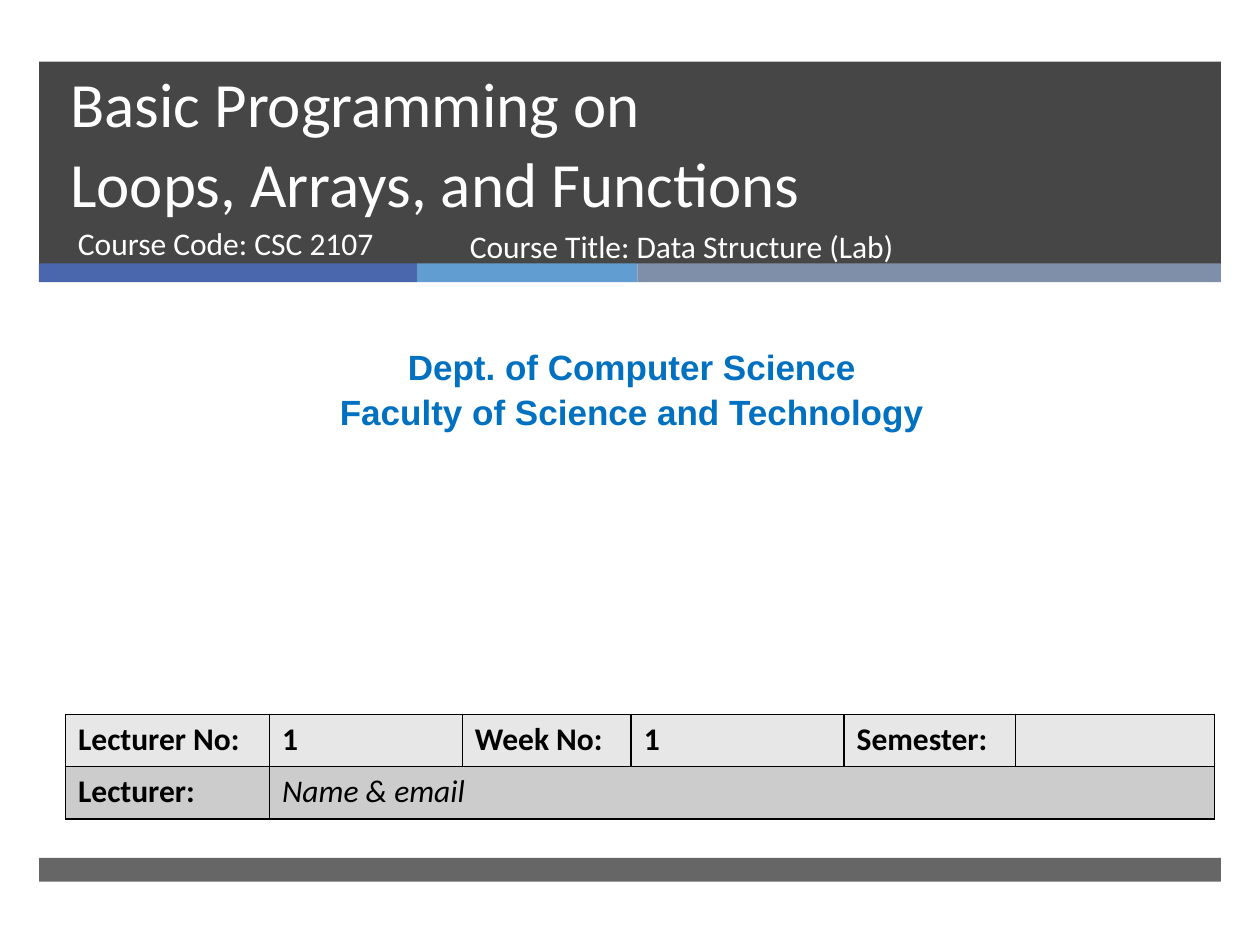
from itertools import accumulate
from lxml.etree import SubElement
from pptx import Presentation
from pptx.dml.color import RGBColor
from pptx.enum.shapes import MSO_SHAPE as Shape
from pptx.enum.text import MSO_ANCHOR as Anchor, PP_ALIGN as Align
from pptx.oxml import parse_xml
from pptx.oxml.ns import nsdecls, qn
from pptx.util import Inches, Pt

COLORS = {
    "band": "262626", "blue": "4A66AC", "sky": "629DD1", "slate": "7F8FA9",
    "white": "FFFFFF", "black": "000000", "dept": "0070C0",
    "light_row": "E7E7E7", "dark_row": "CCCCCC",
}
WIDTH, HEIGHT = Inches(10), Inches(7.5)
MARGIN, BAND_WIDTH = 3.1, 93.8


def color(name):
    return RGBColor.from_string(COLORS[name])


def across(percent):
    return round(WIDTH * percent / 100)


def down(percent):
    return round(HEIGHT * percent / 100)


def area(left, top, width, height):
    return across(left), down(top), across(width), down(height)


def apply(target, values):
    for key, value in values.items():
        setattr(target, key, value)


def style_run(run, ink, **font):
    apply(run.font, {"name": "Calibri", "size": Pt(18), **font})
    run.font.color.rgb = color(ink)


def add_band(slide, place, fill, opacity=100):
    band = slide.shapes.add_shape(Shape.RECTANGLE, *area(*place))
    band.shadow.inherit = False
    band.line.fill.background()
    band.fill.solid()
    band.fill.fore_color.rgb = color(fill)
    if opacity < 100:
        tint = band.fill._xPr.find(".//" + qn("a:srgbClr"))
        SubElement(tint, qn("a:alpha"), val=str(opacity * 1000))


def add_text(slide, place, lines, ink="white", anchor=Anchor.TOP, layout=None, **font):
    frame = slide.shapes.add_textbox(*area(*place)).text_frame
    apply(frame, {"word_wrap": True, "vertical_anchor": anchor})
    frame.text = lines
    for paragraph in frame.paragraphs:
        apply(paragraph, layout or {})
        for run in paragraph.runs:
            style_run(run, ink, **font)


def add_borders(cell):
    properties = cell._tc.get_or_add_tcPr()
    for position, side in enumerate(("lnL", "lnR", "lnT", "lnB")):
        properties.insert(position, parse_xml(
            f'<a:{side} {nsdecls("a")} w="12700"><a:solidFill>'
            f'<a:srgbClr val="{COLORS["black"]}"/></a:solidFill></a:{side}>'))


def add_lecture_table(slide):
    rows = [["Lecturer No:", "1", "Week No:", "1", "Semester:", ""],
            ["Lecturer:", "Name & email", "", "", "", ""]]
    widths = [16.2, 15.3, 13.4, 16.9, 13.6, 15.8]
    place = area(5.2, 75.6, sum(widths), 11.06)
    table = slide.shapes.add_table(len(rows), len(widths), *place).table
    for column, width in zip(table.columns, widths):
        column.width = across(width)
    for r, (texts, fill) in enumerate(zip(rows, ("light_row", "dark_row"))):
        for c, text in enumerate(texts):
            cell = table.cell(r, c)
            cell.fill.solid()
            cell.fill.fore_color.rgb = color(fill)
            add_borders(cell)
            if text:
                cell.text = text
                is_contact = (r, c) == (1, 1)
                style_run(cell.text_frame.paragraphs[0].runs[0], "black",
                          bold=not is_contact, italic=is_contact)
    table.cell(1, 1).merge(table.cell(1, len(widths) - 1))


def add_bands(slide):
    add_band(slide, (MARGIN, 6.53, BAND_WIDTH, 21.4), "band", 85)
    widths = [30, 17.5, 46.3]
    lefts = accumulate(widths[:-1], initial=MARGIN)
    for left, width, fill in zip(lefts, widths, ("blue", "sky", "slate")):
        add_band(slide, (left, 27.87, width, 2), fill)
    add_band(slide, (MARGIN, 90.8, BAND_WIDTH, 2.5), "band", 70)


def main():
    deck = Presentation()
    apply(deck, {"slide_width": WIDTH, "slide_height": HEIGHT})
    slide = deck.slides.add_slide(deck.slide_layouts[6])
    add_bands(slide)
    add_text(slide, (4.6, 8.13, 85.4, 15.87),
             "Basic Programming on\vLoops, Arrays, and Functions",
             anchor=Anchor.BOTTOM, layout={"line_spacing": Pt(46)}, size=Pt(36))
    add_text(slide, (5.2, 23.07, 30.5, 7.07), "Course Code: CSC 2107")
    add_text(slide, (0.8, 35.73, 98.7, 10.27),
             "Dept. of Computer Science\nFaculty of Science and Technology",
             ink="dept", layout={"alignment": Align.CENTER, "line_spacing": 1.05},
             name="Arial", size=Pt(20), bold=True)
    add_lecture_table(slide)
    add_text(slide, (36.3, 23.33, 45.5, 7.07), "Course Title: Data Structure (Lab)")
    deck.save("out.pptx")


if __name__ == "__main__":
    main()
